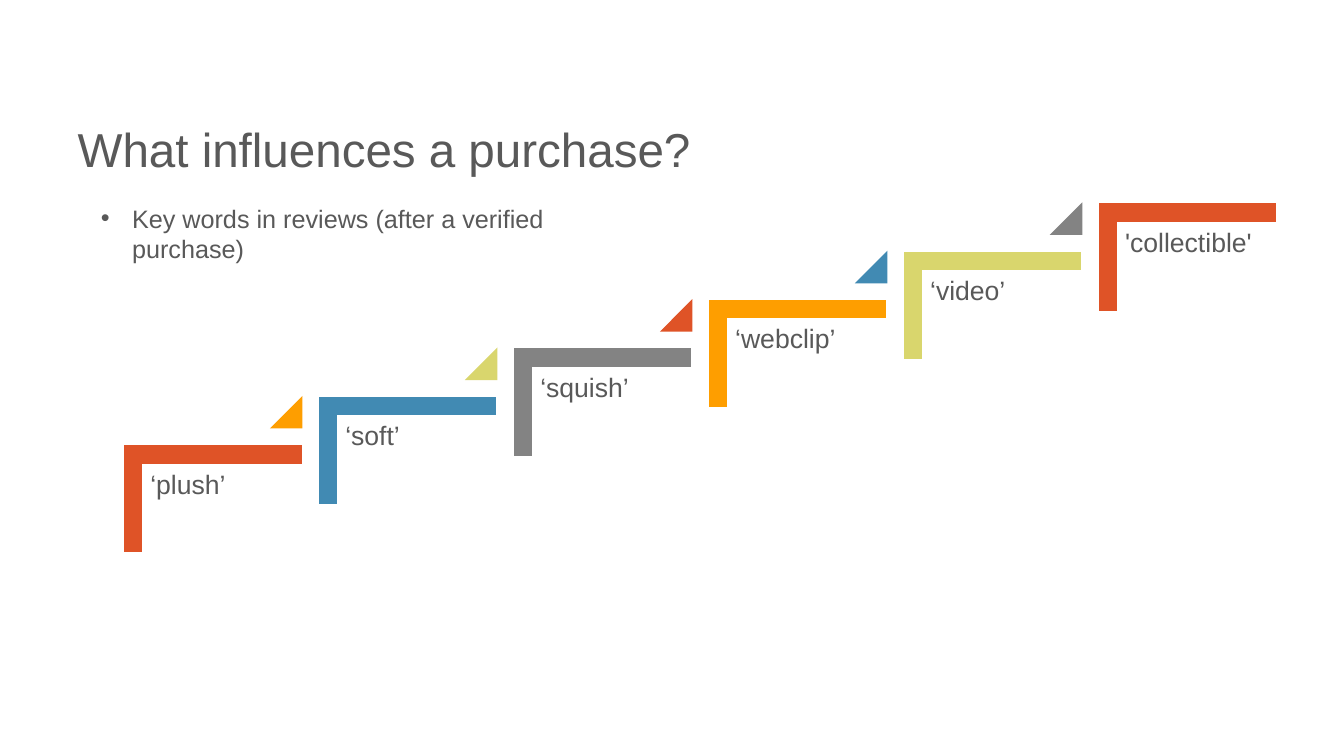
from pptx import Presentation
from pptx.dml.color import RGBColor
from pptx.enum.shapes import MSO_SHAPE
from pptx.enum.text import MSO_ANCHOR, MSO_AUTO_SIZE, PP_ALIGN
from pptx.oxml.xmlchemy import OxmlElement
from pptx.util import Inches, Pt

COLORS = {
    "red": "DF5327",
    "orange": "FE9E00",
    "blue": "418AB3",
    "lime": "D9D66D",
    "gray": "838383",
    "text": "595959",
}
CYCLE = ["red", "orange", "blue", "lime", "gray"]
WORDS = ["‘plush’", "‘soft’", "‘squish’", "‘webclip’", "‘video’", "'collectible'"]


def part(box, x, y, w, h):
    left, top, wide, high = box
    return (
        round(left + wide * x / 100),
        round(top + high * y / 100),
        round(wide * w / 100),
        round(high * h / 100),
    )


def place(shape, box):
    shape.left, shape.top, shape.width, shape.height = box


def write(shape, text, size=19, anchor=MSO_ANCHOR.TOP, line=0.9, inset=None, bullet=None):
    frame = shape.text_frame
    frame.word_wrap = True
    frame.auto_size = MSO_AUTO_SIZE.NONE
    frame.vertical_anchor = anchor
    if inset is not None:
        frame.margin_left = frame.margin_right = inset
        frame.margin_top = frame.margin_bottom = inset
    para = frame.paragraphs[0]
    if bullet:
        props = para._p.get_or_add_pPr()
        props.set("marL", str(Inches(0.31)))
        props.set("indent", str(Inches(-0.31)))
        mark = OxmlElement("a:buChar")
        mark.set("char", bullet)
        props.append(mark)
    para.alignment = PP_ALIGN.LEFT
    para.line_spacing = line
    para.space_before = Pt(0)
    run = para.add_run()
    run.text = text
    run.font.name = "Arial"
    run.font.size = Pt(size)
    run.font.color.rgb = RGBColor.from_string(COLORS["text"])


def draw(slide, kind, box, color, adjust, turn=0):
    shape = slide.shapes.add_shape(kind, *box)
    for index, value in enumerate(adjust):
        shape.adjustments[index] = value
    shape.rotation = turn
    shape.shadow.inherit = False
    shape.fill.solid()
    shape.fill.fore_color.rgb = RGBColor.from_string(COLORS[color])
    shape.line.color.rgb = RGBColor.from_string(COLORS[color])
    shape.line.width = Pt(1)
    join = OxmlElement("a:miter")
    join.set("lim", "800000")
    shape.line._get_or_add_ln().append(join)


def add_head(slide, box):
    title = slide.shapes.title
    place(title, part(box, 5.03, 6.67, 76.88, 17.47))
    write(title, "What influences a purchase?", size=34, anchor=MSO_ANCHOR.BOTTOM)
    body = slide.placeholders[1]
    place(body, part(box, 6.75, 26.18, 35.85, 9.47))
    write(body, "Key words in reviews (after a verified purchase)", size=18, line=1.0, bullet="•")


def add_step(slide, box, word, color):
    left, top, wide, high = box
    shift = (wide - high) // 2
    upright = (left + shift, top - shift, high, wide)
    draw(slide, MSO_SHAPE.CORNER, upright, color, [0.161, 0.161], turn=90)
    label = slide.shapes.add_textbox(*part(box, 10.1, 16.3, 90.29, 132.38))
    write(label, word, inset=Inches(0.08))


def add_stairs(slide, box):
    wide, high = 15.32, 30.43
    last = len(WORDS) - 1
    for index, word in enumerate(WORDS):
        x = (100 - wide) * index / last
        y = (100 - high) * (last - index) / last
        step = part(box, x, y, wide, high)
        add_step(slide, step, word, CYCLE[2 * index % len(CYCLE)])
        if index < last:
            flag = part(step, 83.43, -45.71, 17.14, 28.57)
            color = CYCLE[(2 * index + 1) % len(CYCLE)]
            draw(slide, MSO_SHAPE.ISOSCELES_TRIANGLE, flag, color, [1])


def main():
    deck = Presentation()
    deck.slide_width = Inches(13.33)
    deck.slide_height = Inches(7.5)
    slide = deck.slides.add_slide(deck.slide_layouts[1])
    page = (0, 0, deck.slide_width, deck.slide_height)
    add_head(slide, page)
    add_stairs(slide, part(page, 9.26, 26.98, 85.65, 46))
    deck.save("out.pptx")


if __name__ == "__main__":
    main()
